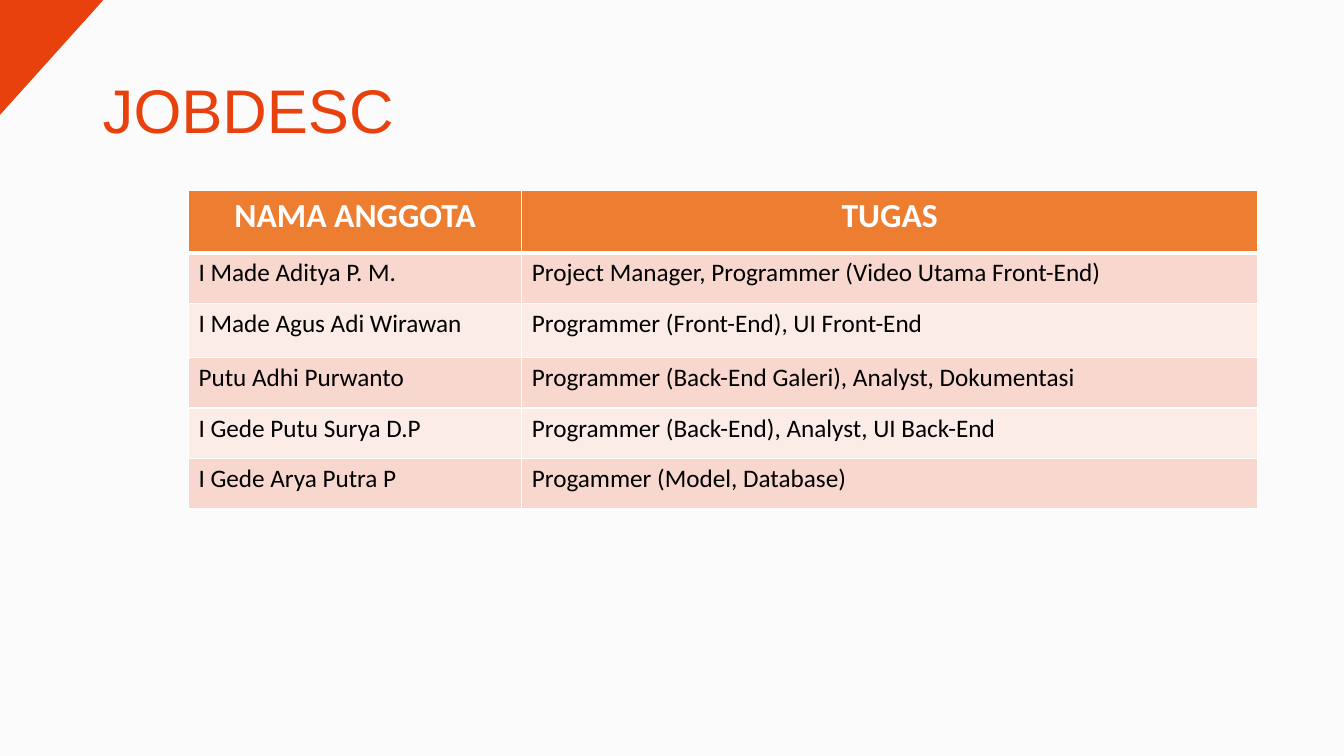
from dataclasses import dataclass

from lxml import etree
from pptx import Presentation
from pptx.dml.color import RGBColor
from pptx.enum.shapes import MSO_SHAPE
from pptx.enum.text import MSO_ANCHOR, PP_ALIGN
from pptx.oxml.ns import qn
from pptx.util import Cm, Pt

TRIANGLE = MSO_SHAPE.ISOSCELES_TRIANGLE
MIDDLE = MSO_ANCHOR.MIDDLE
LEFT, CENTER = PP_ALIGN.LEFT, PP_ALIGN.CENTER


@dataclass(frozen=True)
class Theme:
    background: str = "FBFBFB"
    accent: str = "E9410D"
    header: str = "ED7D31"
    bands: tuple = ("F8D7CE", "FCECE8")
    light: str = "FFFFFF"
    dark: str = "000000"
    title_font: str = "Arial"
    table_font: str = "Calibri"
    title_size: int = 44
    header_size: int = 24
    body_size: int = 18


class SlideBuilder:
    def __init__(self, deck, theme):
        self.theme = theme
        self.page = deck.slides.add_slide(deck.slide_layouts[6])
        self.paint(self.page.background.fill, theme.background)

    def paint(self, fill, color):
        fill.solid()
        fill.fore_color.rgb = RGBColor.from_string(color)

    def add_span(self, para, text, color, **formats):
        span = para.add_run()
        span.text = text
        for name, value in formats.items():
            setattr(span.font, name, value)
        span.font.color.rgb = RGBColor.from_string(color)

    def corner(self, left, top, width, height):
        shape = self.page.shapes.add_shape(
            TRIANGLE, Cm(left), Cm(top), Cm(width), Cm(height))
        shape.adjustments[0] = 0
        shape.rotation = 90
        shape.shadow.inherit = False
        self.paint(shape.fill, self.theme.accent)
        shape.line.fill.background()

    def title(self, text, left, top, width, height):
        box = self.page.shapes.add_textbox(Cm(left), Cm(top), Cm(width), Cm(height))
        box.text_frame.word_wrap = True
        box.text_frame.vertical_anchor = MIDDLE
        para = box.text_frame.paragraphs[0]
        para.line_spacing = 0.9
        self.add_span(para, text, self.theme.accent,
                      name=self.theme.title_font, size=Pt(self.theme.title_size))

    def border(self, cell, widths):
        properties = cell._tc.get_or_add_tcPr()
        for index, (side, width) in enumerate(widths.items()):
            line = etree.Element(qn(f"a:ln{side}"), w=str(Pt(width)))
            fill = etree.SubElement(line, qn("a:solidFill"))
            etree.SubElement(fill, qn("a:srgbClr"), val=self.theme.light)
            properties.insert(index, line)

    def table(self, rows, left, top, widths, heights):
        theme = self.theme
        frame = self.page.shapes.add_table(
            len(rows), len(widths), Cm(left), Cm(top),
            Cm(sum(widths)), Cm(sum(heights)))
        grid = frame.table
        for column, width in zip(grid.columns, widths):
            column.width = Cm(width)
        for index, (row, height, texts) in enumerate(zip(grid.rows, heights, rows)):
            row.height = Cm(height)
            heading = index == 0
            color = theme.light if heading else theme.dark
            size = theme.header_size if heading else theme.body_size
            fill = theme.header if heading else theme.bands[(index - 1) % 2]
            # The rule under the heading is thicker than the others
            edges = {"L": 1, "R": 1, "T": 3 if index == 1 else 1,
                     "B": 3 if heading else 1}
            for cell, text in zip(row.cells, texts):
                self.paint(cell.fill, fill)
                self.border(cell, edges)
                para = cell.text_frame.paragraphs[0]
                para.alignment = CENTER if heading else LEFT
                self.add_span(para, text, color, name=theme.table_font,
                              size=Pt(size), bold=heading)


JOBS = [
    ("NAMA ANGGOTA", "TUGAS"),
    ("I Made Aditya P. M.", "Project Manager, Programmer (Video Utama Front-End)"),
    ("I Made Agus Adi Wirawan", "Programmer (Front-End), UI Front-End"),
    ("Putu Adhi Purwanto", "Programmer (Back-End Galeri), Analyst, Dokumentasi"),
    ("I Gede Putu Surya D.P", "Programmer (Back-End), Analyst, UI Back-End"),
    ("I Gede Arya Putra P", "Progammer (Model, Database)"),
]


def main():
    deck = Presentation()
    deck.slide_width, deck.slide_height = Cm(33.87), Cm(19.05)
    slide = SlideBuilder(deck, Theme())

    # Title and corner decoration
    slide.title("JOBDESC", 2.34, 1.02, 13.16, 3.68)
    slide.corner(-0.2, 0.1, 3, 2.7)

    # Members and their tasks
    slide.table(JOBS, 4.75, 4.8, widths=[8.4, 18.54],
                heights=[1.57, 1.27, 1.37, 1.27, 1.27, 1.27])

    deck.save("out.pptx")


if __name__ == "__main__":
    main()
